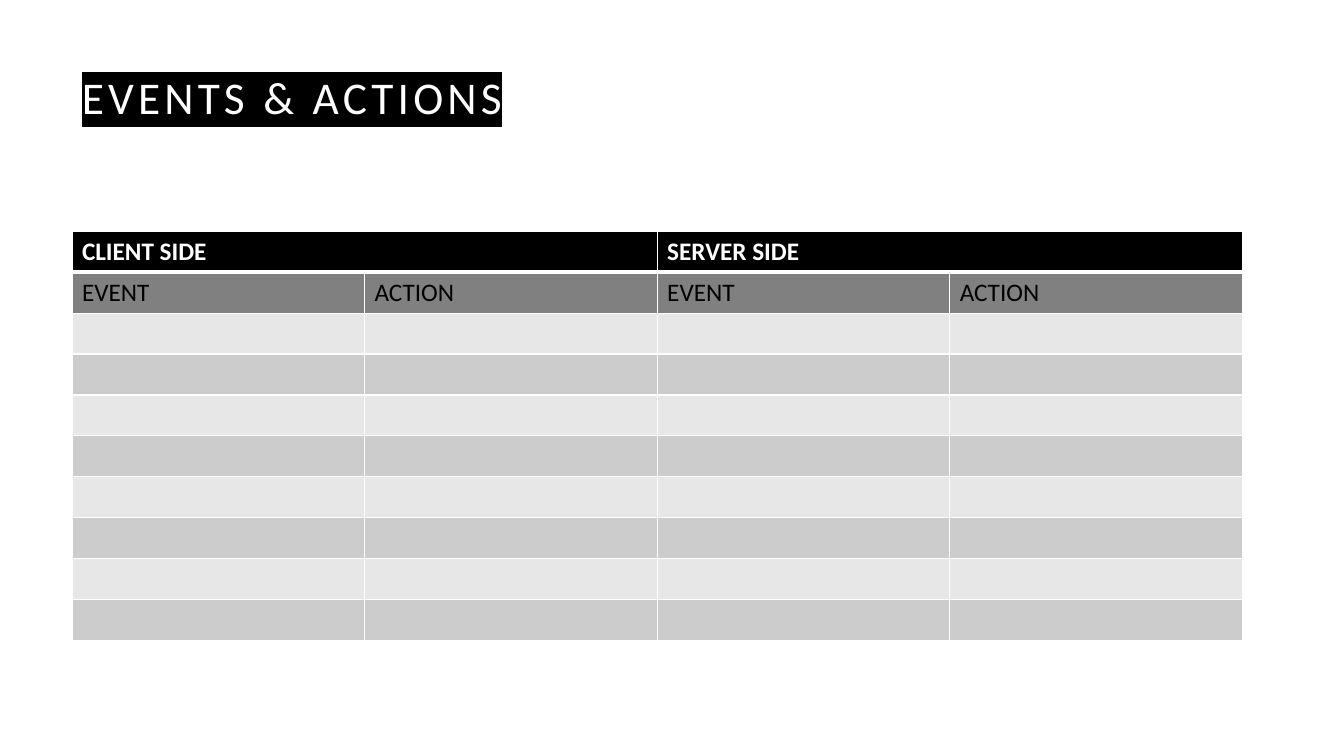
from lxml import etree
from pptx import Presentation
from pptx.dml.color import RGBColor
from pptx.enum import text
from pptx.oxml import ns
from pptx.util import Pt

BLACK = RGBColor(0x00, 0x00, 0x00)
WHITE = RGBColor(0xFF, 0xFF, 0xFF)
GRAY = RGBColor(0x80, 0x80, 0x80)
LIGHT = RGBColor(0xE7, 0xE7, 0xE7)
MEDIUM = RGBColor(0xCC, 0xCC, 0xCC)
FONT = "Calibri"
SIDES = ["CLIENT SIDE", "SERVER SIDE"]
COLUMNS = ["EVENT", "ACTION"] * len(SIDES)
BLANK_ROWS = 8


def add_color(parent, color):
    solid = etree.SubElement(parent, ns.qn("a:solidFill"))
    etree.SubElement(solid, ns.qn("a:srgbClr"), val=str(color))


def style_font(font, size, color, bold=False):
    font.name = FONT
    font.size = Pt(size)
    font.bold = bold
    font.color.rgb = color


def add_heading(slide, left, top, width, height):
    frame = slide.shapes.add_textbox(Pt(left), Pt(top), Pt(width), Pt(height)).text_frame
    frame.word_wrap = True
    frame.vertical_anchor = text.MSO_ANCHOR.BOTTOM
    paragraph = frame.paragraphs[0]
    paragraph.line_spacing = 1.2
    heading = paragraph.add_run()
    heading.text = "EVENTS & ACTIONS"
    style_font(heading.font, 32.4, WHITE)
    properties = heading.font._element
    properties.set("spc", "300")
    highlight = etree.Element(ns.qn("a:highlight"))
    etree.SubElement(highlight, ns.qn("a:srgbClr"), val=str(BLACK))
    properties.find(ns.qn("a:solidFill")).addnext(highlight)


def style_cell(cell, fill, color=BLACK, bold=False, bottom=1, top=1):
    cell.fill.solid()
    cell.fill.fore_color.rgb = fill
    style_font(cell.text_frame.paragraphs[0].font, 18, color, bold)
    properties = cell._tc.get_or_add_tcPr()
    edges = {"a:lnL": 1, "a:lnR": 1, "a:lnT": top, "a:lnB": bottom}
    for position, (edge, weight) in enumerate(edges.items()):
        line = etree.Element(ns.qn(edge), w=str(Pt(weight)))
        add_color(line, WHITE)
        properties.insert(position, line)


def add_events_table(slide, left, top, width, height):
    row_count = 2 + BLANK_ROWS
    table = slide.shapes.add_table(
        row_count, len(COLUMNS), Pt(left), Pt(top), Pt(width), Pt(height)).table
    for column in table.columns:
        column.width = Pt(width / len(COLUMNS))
    for row in table.rows:
        row.height = Pt(height / row_count)

    for index, side in enumerate(SIDES):
        first = table.cell(0, 2 * index)
        first.merge(table.cell(0, 2 * index + 1))
        first.text = side
    for index, label in enumerate(COLUMNS):
        table.cell(1, index).text = label

    for number, row in enumerate(table.rows):
        for cell in row.cells:
            if number == 0:
                style_cell(cell, BLACK, WHITE, bold=True, bottom=3)
            elif number == 1:
                style_cell(cell, GRAY, top=3)
            else:
                style_cell(cell, MEDIUM if number % 2 else LIGHT)


def main():
    deck = Presentation()
    deck.slide_width = Pt(960)
    deck.slide_height = Pt(540)
    slide = deck.slides.add_slide(deck.slide_layouts[6])
    add_heading(slide, 51.4, 36.7, 836.6, 55.4)
    add_events_table(slide, 51.4, 165.2, 836, 292.3)
    deck.save("out.pptx")


if __name__ == "__main__":
    main()
